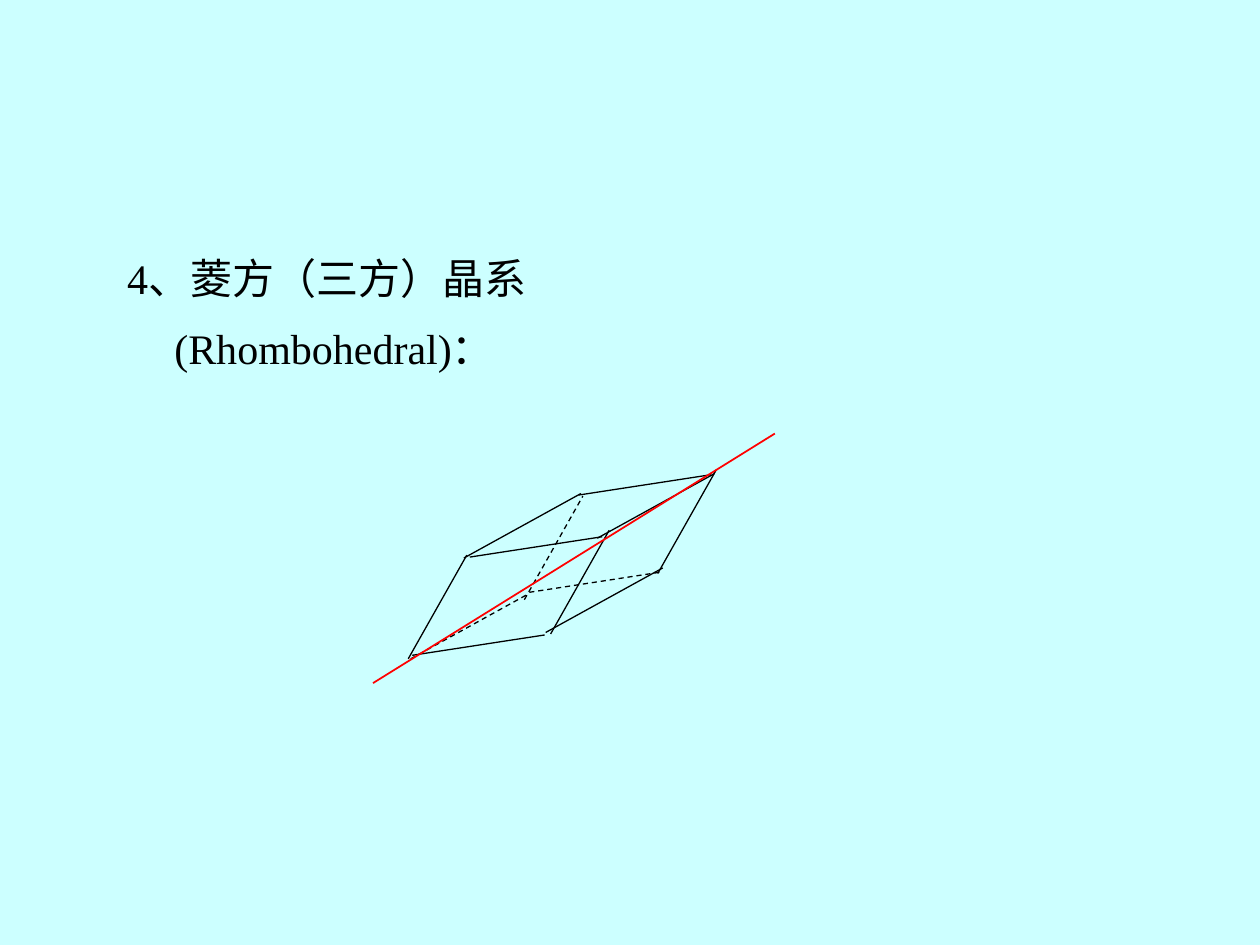
import pptx
import pptx.util
import pptx.dml.color
import pptx.enum.dml
import pptx.enum.shapes
import pptx.enum.text
import pptx.oxml
import pptx.oxml.ns

Cm, Pt = pptx.util.Cm, pptx.util.Pt
RGB = pptx.dml.color.RGBColor

COLOURS = {"background": "CCFFFF", "ink": "000000", "axis": "FF0000"}
HEADING = ["4、菱方（三方）晶系", "(Rhombohedral)："]

# Rhombohedral cell in cm: each edge direction with the start and
# visibility of its four parallel edges
CELL = [
    {"step": (2.67, -0.41), "edges": [
        (8.31, 13.21, "visible"), (11.66, 9.98, "visible"),
        (10.67, 11.94, "hidden"), (9.47, 11.23, "visible")]},
    {"step": (2.36, -1.3), "edges": [
        (8.28, 13.28, "hidden"), (9.35, 11.25, "visible"),
        (11, 12.75, "visible"), (12.04, 10.85, "visible")]},
    {"step": (1.18, -2.09), "edges": [
        (8.23, 13.28, "visible"), (10.57, 12.09, "hidden"),
        (13.26, 11.56, "visible"), (11.1, 12.78, "visible")]},
]
AXIS = (7.52, 13.77, 15.62, 8.74)


def add_line(shapes, ends, colour, width, dashed=False):
    line = shapes.add_connector(
        pptx.enum.shapes.MSO_CONNECTOR.STRAIGHT, *[Cm(v) for v in ends])
    line.line.color.rgb = RGB.from_string(COLOURS[colour])
    line.line.width = Pt(width)
    if dashed:
        line.line.dash_style = pptx.enum.dml.MSO_LINE.DASH
    effects = pptx.oxml.parse_xml(
        "<a:effectLst %s/>" % pptx.oxml.ns.nsdecls("a"))
    line._element.spPr.append(effects)


def add_heading(slide):
    heading = slide.shapes.title
    heading.left, heading.top = Cm(2.31), Cm(4.55)
    heading.width, heading.height = Cm(15.67), Cm(1.9)
    frame = heading.text_frame
    frame.word_wrap = True
    frame.auto_size = pptx.enum.text.MSO_AUTO_SIZE.NONE
    frame.vertical_anchor = pptx.enum.text.MSO_ANCHOR.TOP

    paragraph = frame.paragraphs[0]
    paragraph.text = "\v".join(HEADING)
    paragraph.alignment = pptx.enum.text.PP_ALIGN.LEFT
    paragraph.line_spacing = 1.4
    paragraph.space_before = Pt(0)
    # Hanging indent for the second line
    properties = paragraph._p.get_or_add_pPr()
    properties.set("marL", str(Cm(0.95)))
    properties.set("indent", str(-Cm(0.95)))
    paragraph.font.name = "Times New Roman"
    paragraph.font.size = Pt(24)
    paragraph.font.color.rgb = RGB.from_string(COLOURS["ink"])


def main():
    deck = pptx.Presentation()
    deck.slide_width, deck.slide_height = Cm(25.4), Cm(19.05)
    slide = deck.slides.add_slide(deck.slide_layouts.get_by_name("Title Only"))
    slide.background.fill.solid()
    slide.background.fill.fore_color.rgb = RGB.from_string(COLOURS["background"])

    add_heading(slide)

    # Unit cell
    cell = slide.shapes.add_group_shape()
    for direction in CELL:
        dx, dy = direction["step"]
        for x, y, visibility in direction["edges"]:
            add_line(cell.shapes, (x, y, x + dx, y + dy), "ink", 0.75,
                     visibility == "hidden")

    # Threefold axis along the body diagonal
    add_line(slide.shapes, AXIS, "axis", 1)

    deck.save("out.pptx")


if __name__ == "__main__":
    main()
